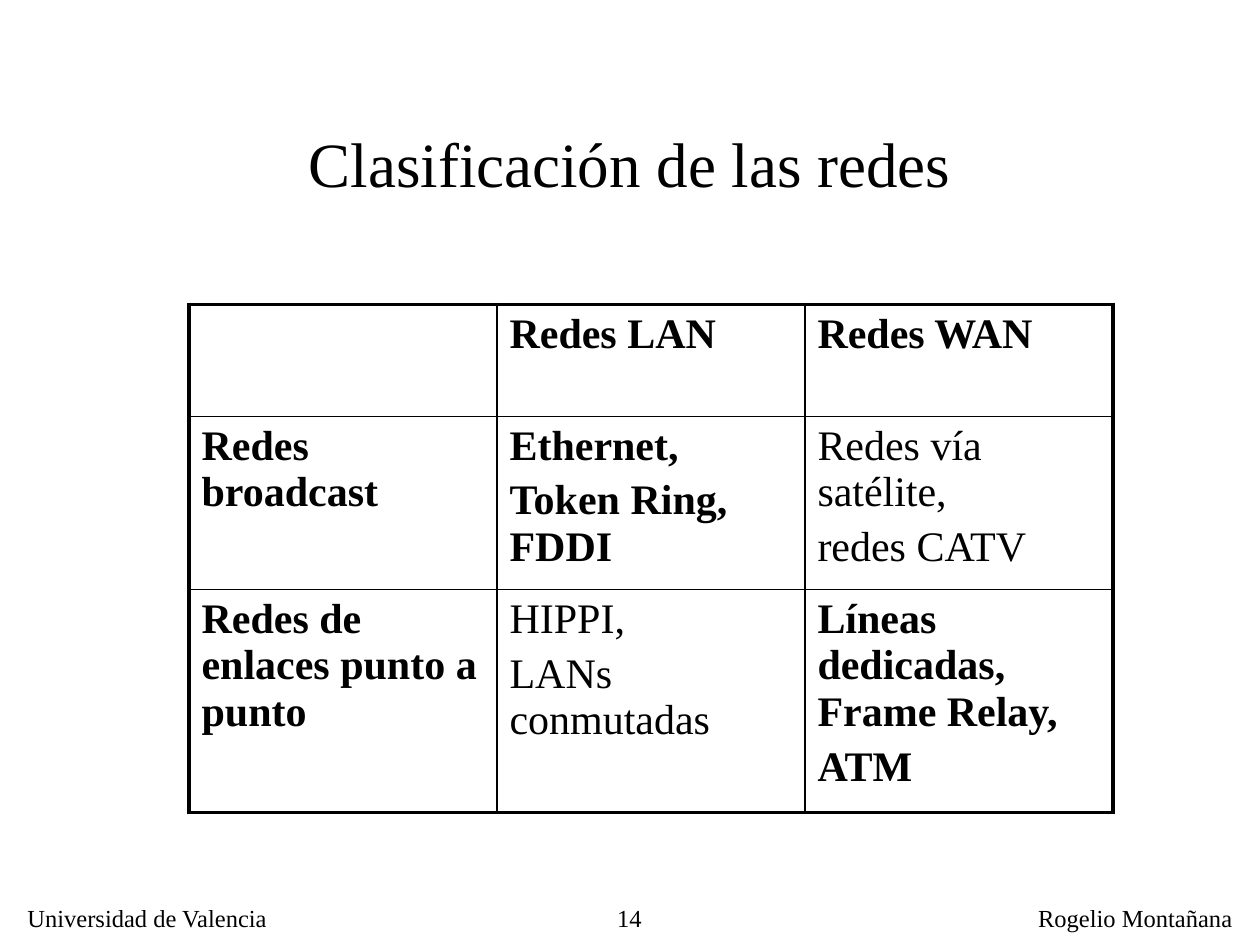
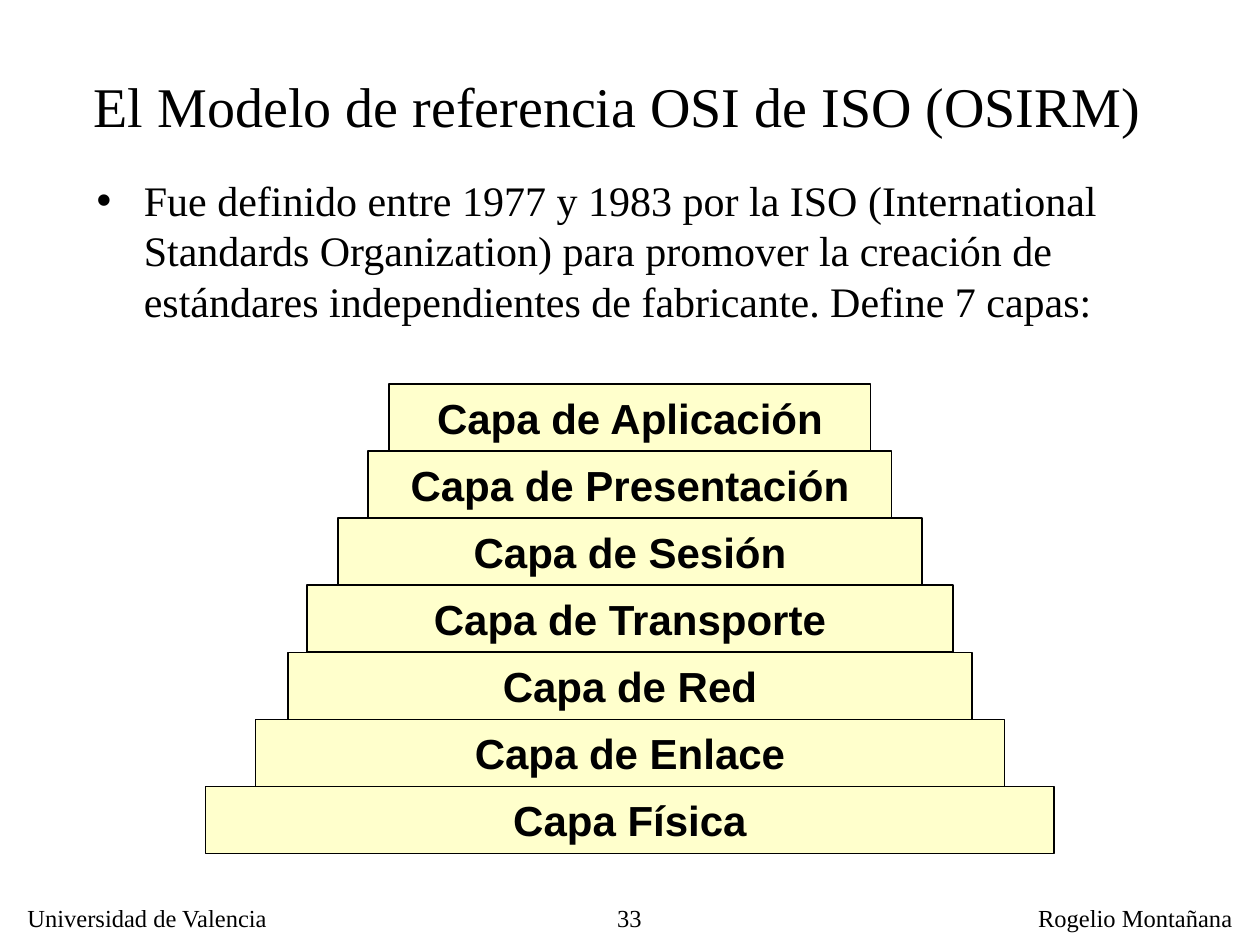
"""Build two slides on network classification and the OSI reference model."""
from lxml.etree import SubElement
from pptx import Presentation
from pptx.dml.color import RGBColor
from pptx.enum.shapes import MSO_SHAPE
from pptx.enum.text import MSO_ANCHOR, MSO_AUTO_SIZE, PP_ALIGN
from pptx.oxml.ns import qn
from pptx.util import Pt

COLORS = {"ink": "000000", "layer": "FFFFCC"}
SERIF, SANS = "Times New Roman", "Arial"
TITLE_ONLY, TITLE_AND_BODY = 5, 1
SLIDE_WIDTH, SLIDE_HEIGHT = 720, 540

FOOTER_TOP = 512.6
FOOTER_LEFT = ("Universidad de Valencia", 8.6, 153.4, PP_ALIGN.LEFT)
FOOTER_RIGHT = ("Rogelio Montañana", 586, 125.4, PP_ALIGN.RIGHT)

NETWORKS_TITLE = "Clasificación de las redes"
NETWORKS = [
    [([], False), (["Redes LAN"], True), (["Redes WAN"], True)],
    [(["Redes broadcast"], True),
     (["Ethernet,", "Token Ring, FDDI"], True),
     (["Redes vía satélite,", "redes CATV"], False)],
    [(["Redes de enlaces punto a punto"], True),
     (["HIPPI,", "LANs conmutadas"], False),
     (["Líneas dedicadas, Frame Relay,", "ATM"], True)],
]
TABLE_LEFT, TABLE_TOP, COLUMN_WIDTH = 108, 174, 176
ROW_HEIGHTS = [64, 99, 127.5]
OUTER_LINE, INNER_LINE = 2.25, 1

OSI_TITLE = "El Modelo de referencia OSI de ISO (OSIRM) "
OSI_TEXT = ("Fue definido entre 1977 y 1983 por la ISO (International Standards "
            "Organization) para promover la creación de estándares "
            "independientes de fabricante. Define 7 capas:")
LAYERS = [
    ("Capa de Aplicación", 275), ("Capa de Presentación", 299),
    ("Capa de Sesión", 334), ("Capa de Transporte", 369),
    ("Capa de Red", 391), ("Capa de Enlace", 428), ("Capa Física", 485),
]
LAYERS_TOP, LAYER_HEIGHT = 219.6, 38.3


def rgb(name):
    return RGBColor.from_string(COLORS[name])


def style(paragraph, size, font=SERIF, bold=False, align=None):
    paragraph.alignment = align
    paragraph.font.size = Pt(size)
    paragraph.font.name = font
    paragraph.font.bold = bold
    paragraph.font.color.rgb = rgb("ink")


def fill_placeholder(shape, text, box, size, align, anchor):
    shape.left, shape.top, shape.width, shape.height = map(Pt, box)
    frame = shape.text_frame
    frame.text = text
    frame.auto_size = MSO_AUTO_SIZE.NONE
    frame.vertical_anchor = anchor
    paragraph = frame.paragraphs[0]
    paragraph.space_before = Pt(0)
    style(paragraph, size, align=align)


def add_slide(presentation, layout, number, title, title_box, title_size):
    slide = presentation.slides.add_slide(presentation.slide_layouts[layout])
    fill_placeholder(slide.shapes.title, title, title_box, title_size,
                     PP_ALIGN.CENTER, MSO_ANCHOR.MIDDLE)
    page_number = (number, 297.4, 76.3, PP_ALIGN.RIGHT)
    for text, left, width, align in (FOOTER_LEFT, page_number, FOOTER_RIGHT):
        label = slide.shapes.add_textbox(Pt(left), Pt(FOOTER_TOP), Pt(width), Pt(24))
        label.text_frame.text = text
        label.text_frame.word_wrap = text == number
        style(label.text_frame.paragraphs[0], 14, align=align)
    return slide


def set_border(cell, side, width):
    line = SubElement(cell._tc.get_or_add_tcPr(), qn(f"a:ln{side}"), w=str(Pt(width)))
    fill = SubElement(line, qn("a:solidFill"))
    SubElement(fill, qn("a:srgbClr"), val=COLORS["ink"])


def fill_cell(cell, lines, bold, outer_sides):
    for side in "LRTB":
        set_border(cell, side, OUTER_LINE if side in outer_sides else INNER_LINE)
    cell.fill.background()
    cell.text = "\n".join(lines)
    for index, paragraph in enumerate(cell.text_frame.paragraphs):
        paragraph.space_before = Pt(4.8 if index else 0)
        style(paragraph, 24, bold=bold)


def add_networks_table(slide):
    row_count, column_count = len(NETWORKS), len(NETWORKS[0])
    table = slide.shapes.add_table(
        row_count, column_count, Pt(TABLE_LEFT), Pt(TABLE_TOP),
        Pt(COLUMN_WIDTH * column_count), Pt(sum(ROW_HEIGHTS))).table
    table.first_row = table.horz_banding = False
    for row, height in zip(table.rows, ROW_HEIGHTS):
        row.height = Pt(height)
    for row_index, row in enumerate(NETWORKS):
        for column_index, (lines, bold) in enumerate(row):
            edges = {"L": column_index == 0, "R": column_index == column_count - 1,
                     "T": row_index == 0, "B": row_index == row_count - 1}
            outer_sides = [side for side, on_edge in edges.items() if on_edge]
            fill_cell(table.cell(row_index, column_index), lines, bold, outer_sides)


def add_layers(slide):
    group = slide.shapes.add_group_shape()
    for index, (name, width) in enumerate(LAYERS):
        layer = group.shapes.add_shape(
            MSO_SHAPE.RECTANGLE, Pt((SLIDE_WIDTH - width) / 2),
            Pt(LAYERS_TOP + index * LAYER_HEIGHT), Pt(width), Pt(LAYER_HEIGHT))
        layer.shadow.inherit = False
        layer.fill.solid()
        layer.fill.fore_color.rgb = rgb("layer")
        layer.line.color.rgb = rgb("ink")
        layer.line.width = Pt(1)
        layer.text_frame.text = name
        layer.text_frame.word_wrap = False
        layer.text_frame.vertical_anchor = MSO_ANCHOR.MIDDLE
        style(layer.text_frame.paragraphs[0], 24, SANS, True, PP_ALIGN.CENTER)


def main():
    presentation = Presentation()
    presentation.slide_width, presentation.slide_height = Pt(SLIDE_WIDTH), Pt(SLIDE_HEIGHT)

    networks = add_slide(presentation, TITLE_ONLY, "14", NETWORKS_TITLE,
                         (54, 48, 612, 90), 36)
    add_networks_table(networks)

    osi = add_slide(presentation, TITLE_AND_BODY, "33", OSI_TITLE,
                    (42, 36, 630, 48), 32)
    fill_placeholder(osi.placeholders[1], OSI_TEXT, (48, 96, 618, 102), 24,
                     PP_ALIGN.LEFT, MSO_ANCHOR.TOP)
    add_layers(osi)

    presentation.save("out.pptx")


if __name__ == "__main__":
    main()
